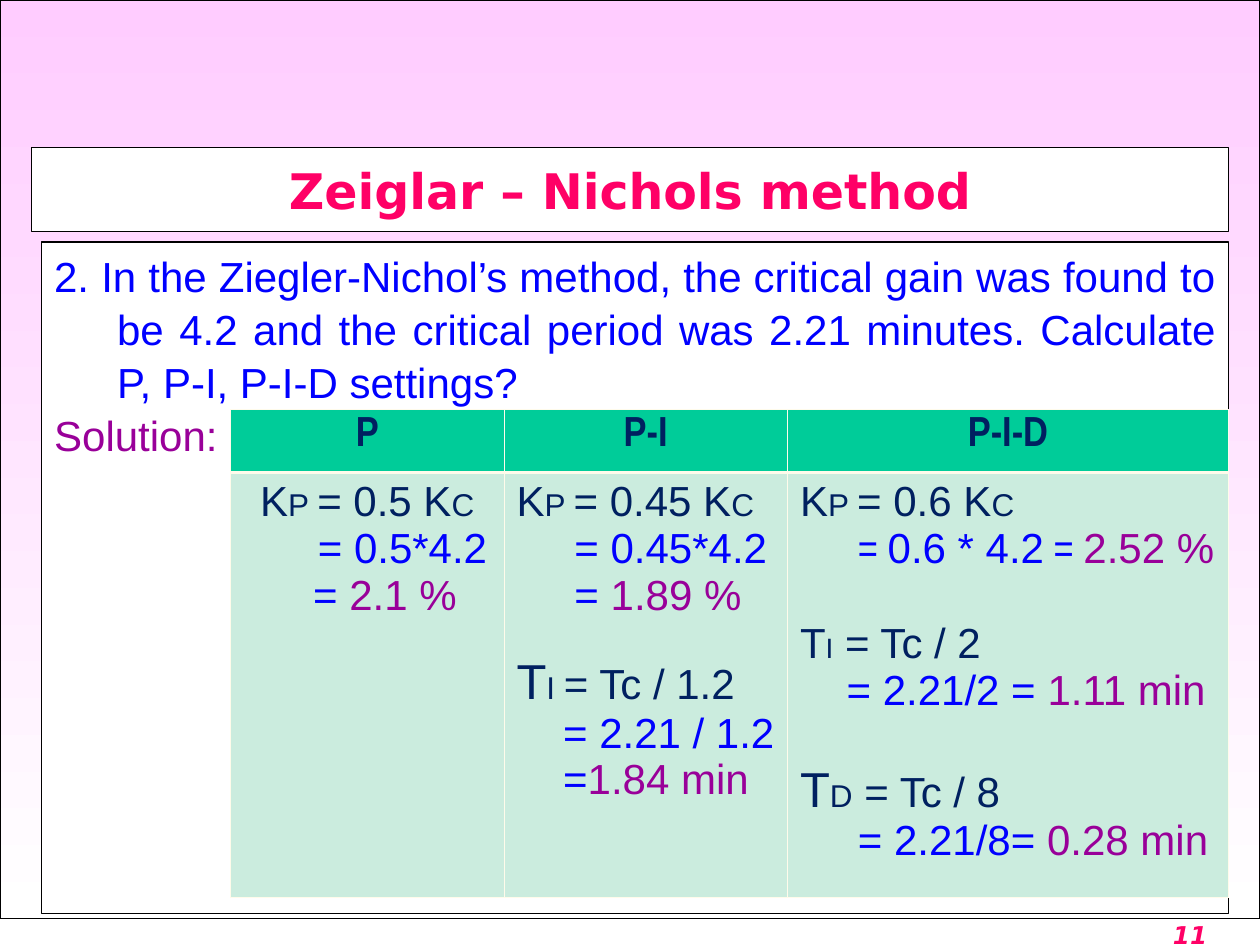
from lxml import etree
from pptx import Presentation
from pptx.dml.color import RGBColor
from pptx.enum.shapes import MSO_SHAPE
from pptx.enum.text import MSO_ANCHOR, MSO_AUTO_SIZE, PP_ALIGN
from pptx.oxml.ns import qn
from pptx.util import Inches, Pt

RECT = MSO_SHAPE.RECTANGLE
TOP, MIDDLE = MSO_ANCHOR.TOP, MSO_ANCHOR.MIDDLE
NO_FIT = MSO_AUTO_SIZE.NONE
LEFT, CENTER, JUSTIFY = PP_ALIGN.LEFT, PP_ALIGN.CENTER, PP_ALIGN.JUSTIFY

THEME = {
    "pink": "FF0066", "blue": "0000FF", "purple": "990099", "navy": "002060",
    "black": "000000", "white": "FFFFFF", "blush": "FFCCFF",
    "head": "00CC99", "cell": "CBECDE", "rule": "FFFBEB",
    "sans": "Arial", "narrow": "Arial Narrow", "display": "DejaVu Sans",
    "big": 28, "body": 24, "small": 18, "tiny": 16, "page": 14,
}

# Content
TITLE = "Zeiglar – Nichols method"
PAGE = "11"
PROBLEM = [
    ("2. In the Ziegler-Nichol’s method, the critical gain was found to be 4.2 "
     "and the critical period was 2.21 minutes. Calculate P, P-I, P-I-D settings?", "blue"),
    ("Solution:", "purple"),
]


def formula(*runs, gap=0):
    """Navy line whose runs are (text, size)."""
    return 0, gap, [(text, size, "navy", "sans") for text, size in runs]


def working(indent, *runs):
    """Indented line whose runs are (text, colour[, font])."""
    return indent, 0, [(text, "body", color, *(font or ("sans",)))
                       for text, color, *font in runs]


def gain(rule):
    return formula(("K", "body"), ("P ", "small"), (rule, "body"), ("C", "small"))


# Each column: heading, width, alignment, lines of (indent, gap before, runs)
COLUMNS = [
    ("P", 2.17, CENTER, [
        gain("= 0.5 K"),
        working(0.56, ("= 0.5*4.2", "blue")),
        working(0.28, ("= ", "blue"), ("2.1 %", "purple")),
    ]),
    ("P-I", 2.25, JUSTIFY, [
        gain("= 0.45 K"),
        working(0.46, ("= 0.45*4.2", "blue")),
        working(0.46, ("= ", "blue"), ("1.89 %", "purple")),
        formula(("T", "big"), ("I ", "small"), ("= Tc / 1.2", "body"), gap=20.7),
        working(0.37, ("= 2.21 / 1.2", "blue")),
        working(0.37, ("=", "blue"), ("1.84 min", "purple")),
    ]),
    ("P-I-D", 3.5, JUSTIFY, [
        gain("= 0.6 K"),
        working(0.46, ("= ", "blue", "narrow"), ("0.6 * 4.2", "blue"),
                (" = ", "blue", "narrow"), ("2.52 %", "purple")),
        formula(("T", "body"), ("I", "tiny"), (" = Tc / 2", "body"), gap=27.6),
        working(0.37, ("= 2.21/2 = ", "blue"), ("1.11 min", "purple")),
        formula(("T", "big"), ("D", "small"), (" = Tc / 8", "body"), gap=27.6),
        working(0.46, ("= 2.21/8=", "blue"), (" 0.28 min", "purple")),
    ]),
]
ROWS = [0.5, 3.37]


def rgb(name):
    return RGBColor.from_string(THEME[name])


def style(font, size, color, face, bold=False, italic=False):
    font.size, font.name = Pt(THEME[size]), THEME[face]
    font.color.rgb, font.bold, font.italic = rgb(color), bold, italic


def indent(p, left, first=0):
    pPr = p._p.get_or_add_pPr()
    pPr.set("marL", str(Inches(left)))
    pPr.set("indent", str(Inches(first)))
    return pPr


def place(sp, *box):
    sp.left, sp.top, sp.width, sp.height = map(Inches, box)


def panel(sp, box, anchor):
    """White outlined placeholder."""
    place(sp, *box)
    sp.fill.solid()
    sp.fill.fore_color.rgb = rgb("white")
    outline(sp)
    tf = sp.text_frame
    tf.auto_size, tf.vertical_anchor, tf.word_wrap = NO_FIT, anchor, True
    return tf


def outline(sp):
    sp.line.color.rgb, sp.line.width = rgb("black"), Pt(0.75)


def paragraphs(tf, count):
    return [tf.paragraphs[0]] + [tf.add_paragraph() for _ in range(count - 1)]


def dress(cell, fill, top, bottom):
    """Cell borders and fill."""
    tcPr = cell._tc.get_or_add_tcPr()
    for side, width in (("L", 0.45), ("R", 0.45), ("T", top), ("B", bottom)):
        ln = etree.SubElement(tcPr, qn(f"a:ln{side}"), w=str(Pt(width)))
        paint = etree.SubElement(ln, qn("a:solidFill"))
        etree.SubElement(paint, qn("a:srgbClr"), val=THEME["rule"])
    cell.fill.solid()
    cell.fill.fore_color.rgb = rgb(fill)


prs = Presentation()
prs.slide_width, prs.slide_height = Inches(10), Inches(7.5)
s = prs.slides.add_slide(prs.slide_layouts[1])
title, body = s.placeholders

# Gradient backdrop, sent behind the placeholders
backdrop = s.shapes.add_shape(RECT, 0, 0, prs.slide_width, Inches(7.29))
backdrop.shadow.inherit = False
backdrop.fill.gradient()
backdrop.fill.gradient_angle = 270
for stop, color in zip(backdrop.fill.gradient_stops, ("blush", "white")):
    stop.color.rgb = rgb(color)
outline(backdrop)
title._element.addprevious(backdrop._element)

# Title
p = panel(title, (0.25, 1.17, 9.5, 0.67), MIDDLE).paragraphs[0]
p.text, p.alignment = TITLE, CENTER
style(p.font, "big", "pink", "display", bold=True)

# Problem statement
tf = panel(body, (0.33, 1.92, 9.42, 5.33), TOP)
for p, (text, color) in zip(paragraphs(tf, len(PROBLEM)), PROBLEM):
    etree.SubElement(indent(p, 0.5, -0.5), qn("a:buNone"))
    p.text, p.alignment = text, JUSTIFY
    p.space_before, p.line_spacing = Pt(0), 1.05
    style(p.font, "body", color, "sans")

# Settings table
widths = [col[1] for col in COLUMNS]
table = s.shapes.add_table(len(ROWS), len(COLUMNS), Inches(1.83), Inches(3.25),
                           Inches(sum(widths)), Inches(sum(ROWS))).table
for row, height in zip(table.rows, ROWS):
    row.height = Inches(height)
for c, (heading, width, align, lines) in enumerate(COLUMNS):
    table.columns[c].width = Inches(width)
    head, cell = table.cell(0, c), table.cell(1, c)
    dress(head, "head", 0.45, 1.47)
    dress(cell, "cell", 1.47, 0.45)
    p = head.text_frame.paragraphs[0]
    p.text, p.alignment = heading, CENTER
    style(p.font, "body", "navy", "narrow", bold=True)
    for p, (left, gap, runs) in zip(paragraphs(cell.text_frame, len(lines)), lines):
        indent(p, left)
        p.alignment, p.space_before = align, Pt(gap)
        for text, *look in runs:
            r = p.add_run()
            r.text = text
            style(r.font, *look)

# Page number
box = s.shapes.add_textbox(0, 0, 0, 0)
place(box, 9.13, 7.2, 1.2, 0.4)
tf = box.text_frame
tf.margin_left, tf.margin_top, tf.word_wrap = Inches(0.18), Inches(0.1), True
p = tf.paragraphs[0]
p.text, p.alignment = PAGE, LEFT
style(p.font, "page", "pink", "display", bold=True, italic=True)

prs.save("out.pptx")
